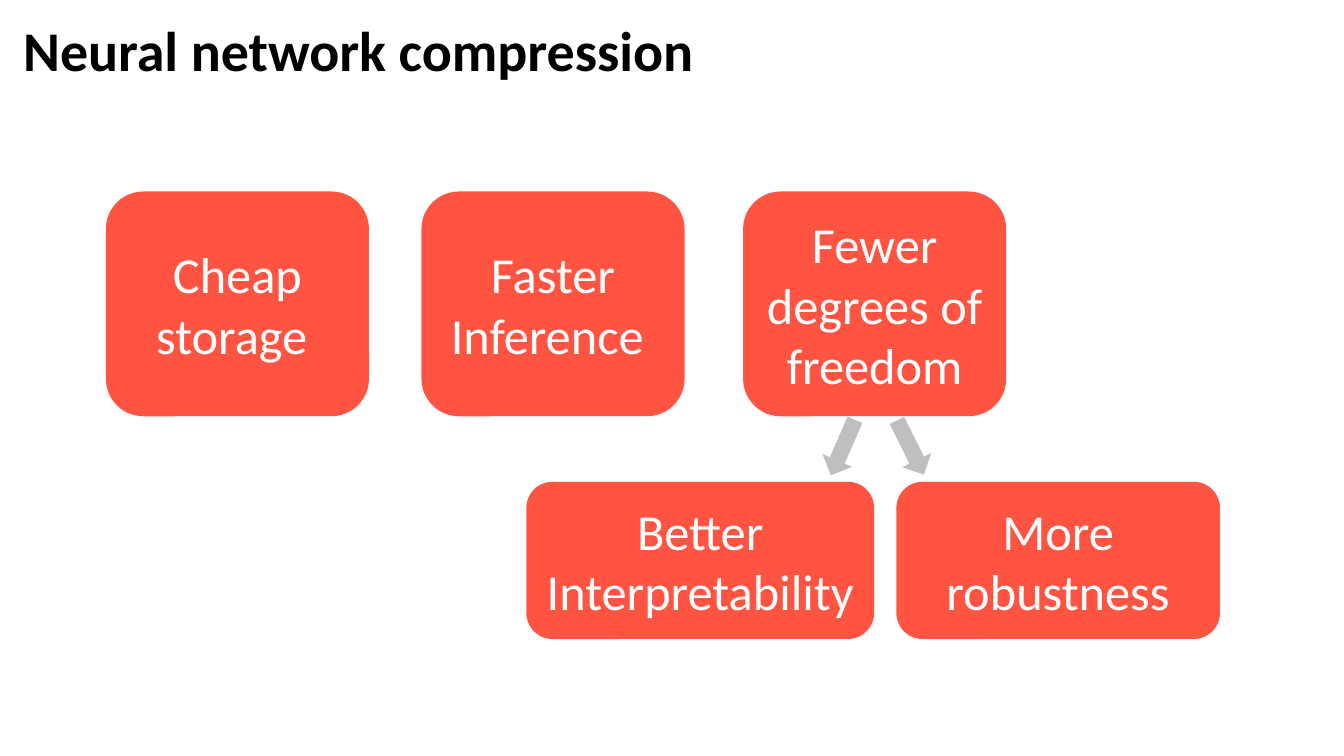
from dataclasses import dataclass

from pptx import Presentation
from pptx.dml.color import RGBColor
from pptx.enum.shapes import MSO_SHAPE
from pptx.enum.text import MSO_ANCHOR, MSO_AUTO_SIZE, PP_ALIGN
from pptx.shapes.autoshape import Shape
from pptx.slide import Slide
from pptx.text.text import TextFrame
from pptx.util import Inches, Pt


@dataclass(frozen=True)
class Theme:
    font: str = "Calibri"
    title_size: int = 40
    card_size: int = 36
    black: str = "000000"
    white: str = "FFFFFF"
    red: str = "FF5442"
    grey: str = "BFBFBF"


@dataclass(frozen=True)
class Card:
    text: str
    left: float
    top: float
    width: float
    height: float


@dataclass(frozen=True)
class Arrow:
    left: float
    rotation: float


THEME = Theme()
BENEFIT_TOP, BENEFIT_WIDTH, BENEFIT_HEIGHT = 1.9, 2.61, 2.23
RESULT_TOP, RESULT_HEIGHT = 4.78, 1.56
ARROW_TOP, ARROW_WIDTH, ARROW_HEIGHT = 4.14, 0.32, 0.6

BENEFITS = [
    Card(text, left, BENEFIT_TOP, BENEFIT_WIDTH, BENEFIT_HEIGHT)
    for text, left in (
        ("Cheap storage ", 1.05),
        ("Faster Inference ", 4.18),
        ("Fewer degrees of freedom", 7.37),
    )
]
RESULTS = [
    Card(text, left, RESULT_TOP, width, RESULT_HEIGHT)
    for text, left, width in (
        ("Better Interpretability", 5.22, 3.45),
        ("More robustness", 8.89, 3.21),
    )
]
ARROWS = [Arrow(8.2, 23.6), Arrow(8.87, 333.6)]


def write_text(frame: TextFrame, text: str, *, size: int, color: str,
               align: PP_ALIGN, bold: bool = False,
               line_spacing: float = 1.0) -> None:
    frame.word_wrap = True
    frame.auto_size = MSO_AUTO_SIZE.NONE
    frame.vertical_anchor = MSO_ANCHOR.MIDDLE
    para = frame.paragraphs[0]
    para.alignment = align
    para.line_spacing = line_spacing
    span = para.add_run()
    span.text = text
    span.font.name = THEME.font
    span.font.size = Pt(size)
    span.font.bold = bold
    span.font.color.rgb = RGBColor.from_string(color)


def add_filled(page: Slide, kind: MSO_SHAPE, left: float, top: float,
               width: float, height: float, color: str) -> Shape:
    shape = page.shapes.add_shape(
        kind, Inches(left), Inches(top), Inches(width), Inches(height))
    shape.shadow.inherit = False
    shape.fill.solid()
    shape.fill.fore_color.rgb = RGBColor.from_string(color)
    shape.line.fill.background()
    return shape


def add_card(page: Slide, card: Card) -> None:
    box = add_filled(page, MSO_SHAPE.ROUNDED_RECTANGLE, card.left, card.top,
                     card.width, card.height, THEME.red)
    write_text(box.text_frame, card.text, size=THEME.card_size,
               color=THEME.white, align=PP_ALIGN.CENTER)


def add_arrow(page: Slide, arrow: Arrow) -> None:
    shape = add_filled(page, MSO_SHAPE.DOWN_ARROW, arrow.left, ARROW_TOP,
                       ARROW_WIDTH, ARROW_HEIGHT, THEME.grey)
    shape.rotation = arrow.rotation


def add_title(page: Slide, text: str) -> None:
    title = page.shapes.title
    title.left, title.top = Inches(0.13), Inches(0.12)
    title.width, title.height = Inches(7.77), Inches(0.82)
    write_text(title.text_frame, text, size=THEME.title_size,
               color=THEME.black, align=PP_ALIGN.LEFT, bold=True,
               line_spacing=0.9)


def main() -> None:
    deck = Presentation()
    deck.slide_width, deck.slide_height = Inches(13.33), Inches(7.5)
    page = deck.slides.add_slide(deck.slide_layouts.get_by_name("Title Only"))

    add_title(page, "Neural network compression")

    # Benefits, then the arrows to what the last one brings
    for card in BENEFITS:
        add_card(page, card)
    for arrow in ARROWS:
        add_arrow(page, arrow)
    for card in RESULTS:
        add_card(page, card)

    deck.save("out.pptx")


if __name__ == "__main__":
    main()
